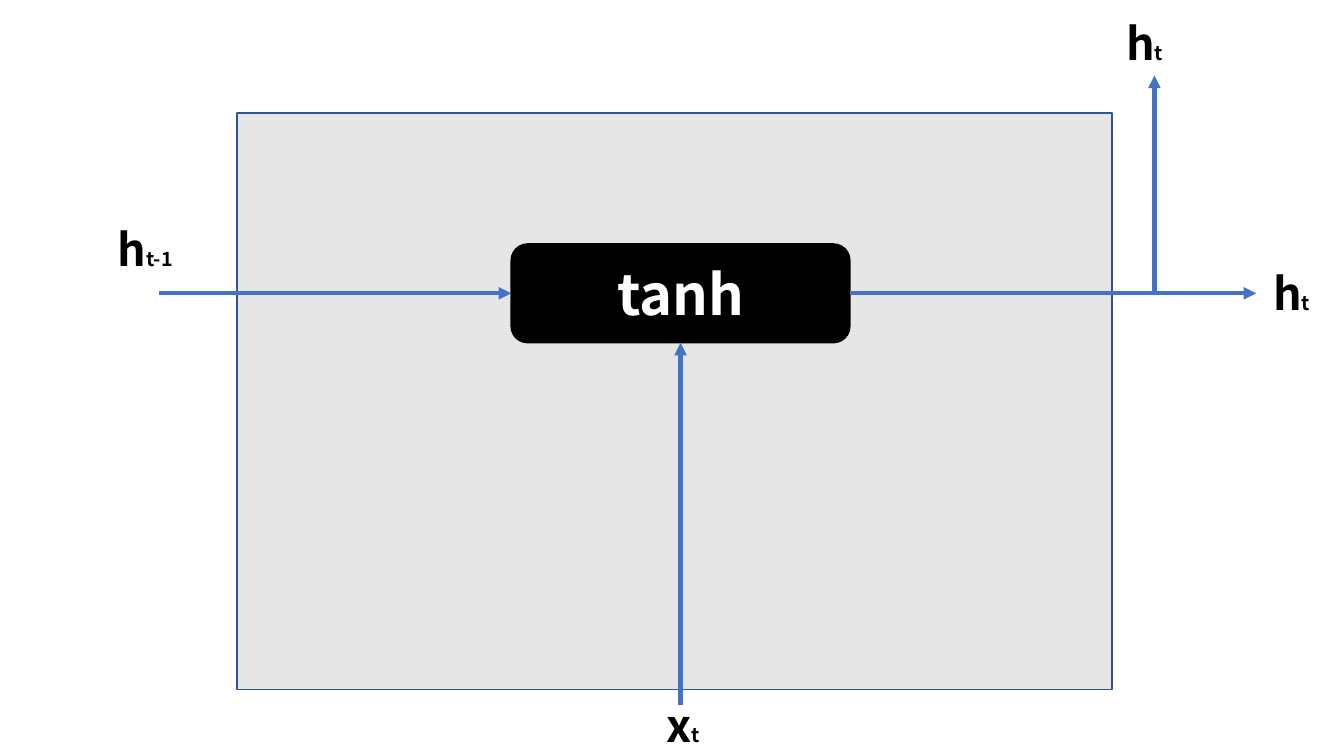
from lxml import etree
from pptx import Presentation
from pptx import util as u
from pptx.dml.color import RGBColor
from pptx.enum import shapes, text
from pptx.oxml import ns

PX = u.Inches(1) // 100
FONT = "Noto Sans CJK KR"
BLACK = RGBColor(0x00, 0x00, 0x00)
WHITE = RGBColor(0xFF, 0xFF, 0xFF)
GREY = RGBColor(0xE7, 0xE6, 0xE6)
BLUE = RGBColor(0x44, 0x72, 0xC4)
DARK_BLUE = RGBColor(0x32, 0x54, 0x91)
TOP, LEFT, BOTTOM, RIGHT = range(4)


def add_run(paragraph, words, size, color):
    run = paragraph.add_run()
    run.text = words
    run.font.name = FONT
    run.font.size = u.Pt(size)
    run.font.bold = True
    run.font.color.rgb = color


def add_block(slide, kind, box, fill, outline):
    shape = slide.shapes.add_shape(kind, *(PX * value for value in box))
    shape.shadow.inherit = False
    shape.fill.solid()
    shape.fill.fore_color.rgb = fill
    shape.line.color.rgb = outline
    shape.line.width = u.Pt(1)
    return shape


def add_label(slide, left, top, width, symbol, subscript):
    label = slide.shapes.add_textbox(PX * left, PX * top, PX * width, PX * 64)
    label.text_frame.word_wrap = True
    paragraph = label.text_frame.paragraphs[0]
    add_run(paragraph, symbol, 32, BLACK)
    add_run(paragraph, subscript, 14, BLACK)


def add_arrow(slide, start, end, kind=shapes.MSO_CONNECTOR.STRAIGHT):
    arrow = slide.shapes.add_connector(kind, *(PX * value for value in start + end))
    arrow.line.color.rgb = BLUE
    arrow.line.width = u.Pt(3)
    line = arrow.line._get_or_add_ln()
    etree.SubElement(line, ns.qn("a:tailEnd"), type="triangle")
    etree.SubElement(arrow._element.spPr, ns.qn("a:effectLst"))
    return arrow


def draw_cell(slide, left, top, width, height):
    """Recurrent cell with its tanh gate, and the arrows in and out of it."""
    add_block(slide, shapes.MSO_SHAPE.RECTANGLE, (left, top, width, height), GREY, DARK_BLUE)

    # tanh gate
    gate_left, gate_top, gate_width, gate_height = left + 272, top + 130, 336, 98
    gate_right, gate_bottom = gate_left + gate_width, gate_top + gate_height
    center, middle = gate_left + gate_width // 2, gate_top + gate_height // 2
    gate = add_block(slide, shapes.MSO_SHAPE.ROUNDED_RECTANGLE,
                     (gate_left, gate_top, gate_width, gate_height), BLACK, BLACK)
    gate.text_frame.vertical_anchor = text.MSO_ANCHOR.MIDDLE
    paragraph = gate.text_frame.paragraphs[0]
    paragraph.alignment = text.PP_ALIGN.CENTER
    add_run(paragraph, "tanh", 40, WHITE)

    # Input and previous state
    bottom, right = top + height, left + width
    add_arrow(slide, (center, bottom + 15), (center, gate_bottom)).end_connect(gate, BOTTOM)
    add_label(slide, center - 24, bottom + 3, 84, "x", "t")
    add_arrow(slide, (left - 77, middle), (gate_left, middle)).end_connect(gate, LEFT)
    add_label(slide, left - 128, middle - 76, 90, "h", "t-1")

    # New state, passed on and sent up as output
    add_arrow(slide, (gate_right, middle), (right + 143, middle)).begin_connect(gate, RIGHT)
    add_label(slide, right + 150, middle - 32, 90, "h", "t")
    output = add_arrow(slide, (gate_right, middle), (right + 42, top - 37),
                       shapes.MSO_CONNECTOR.ELBOW)
    output.begin_connect(gate, RIGHT)
    output._element.spPr.find(ns.qn("a:prstGeom")).set("prst", "bentConnector2")
    add_label(slide, right + 4, top - 101, 77, "h", "t")


def main():
    presentation = Presentation()
    presentation.slide_width = PX * 1333
    presentation.slide_height = PX * 750
    slide = presentation.slides.add_slide(presentation.slide_layouts[6])
    draw_cell(slide, 235, 112, 868, 572)
    presentation.save("out.pptx")


if __name__ == "__main__":
    main()
